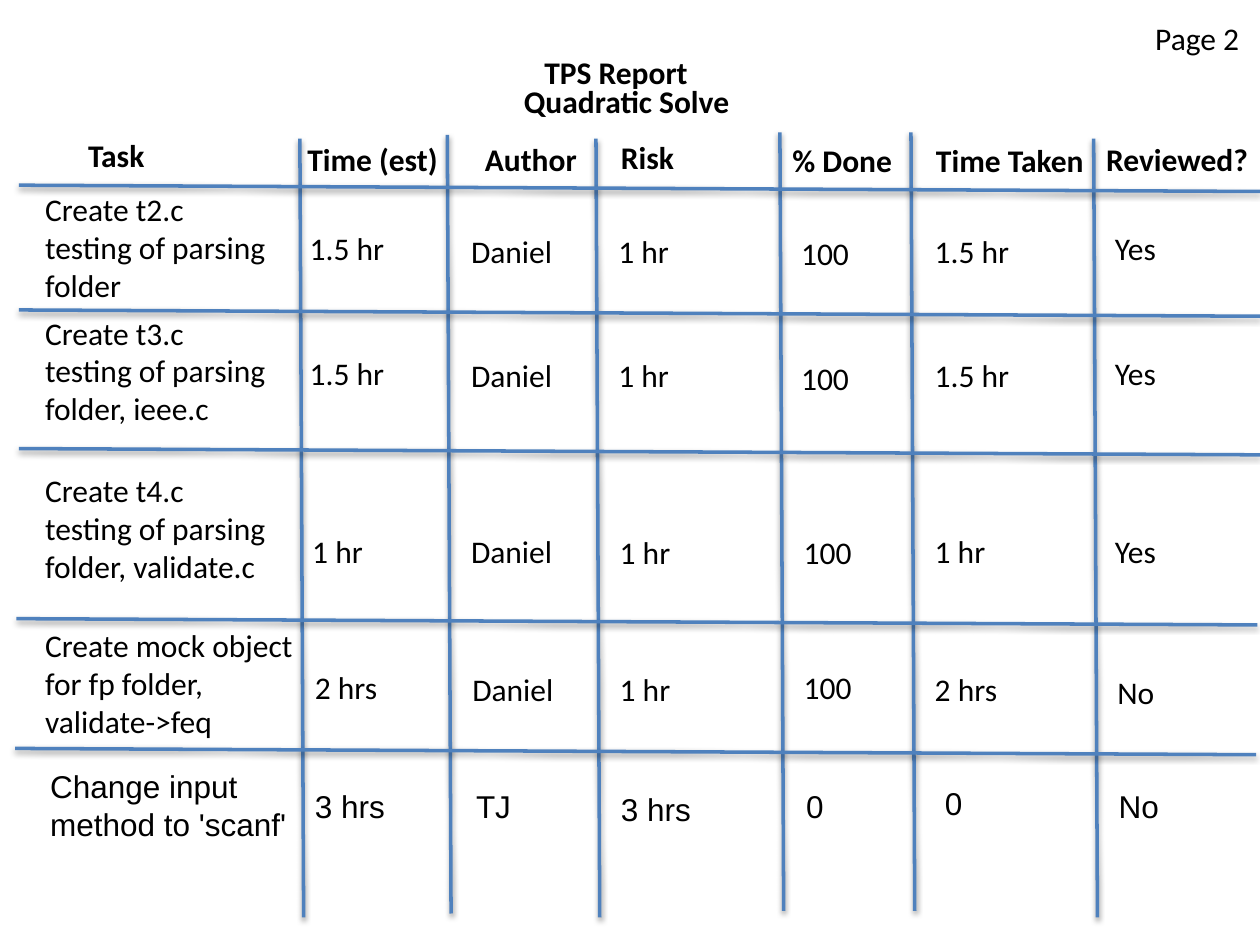
from pptx import Presentation
from pptx.dml.color import RGBColor
from pptx.enum.shapes import MSO_CONNECTOR
from pptx.enum.text import MSO_ANCHOR, MSO_AUTO_SIZE, PP_ALIGN
from pptx.util import Inches, Pt

STRAIGHT = MSO_CONNECTOR.STRAIGHT
TOP = MSO_ANCHOR.TOP
LEFT = PP_ALIGN.LEFT
NO_FIT = MSO_AUTO_SIZE.NONE
TITLE_ONLY = 5

COLORS = {"text": "000000", "rule": "4F81BD"}
PLAIN = {"name": "Calibri", "size": Pt(18), "bold": False}
BOLD = {**PLAIN, "bold": True}
ARIAL = {**PLAIN, "name": "Arial"}
LAYOUT = {"word_wrap": True, "auto_size": NO_FIT, "vertical_anchor": TOP}

HEADERS = [
    ("Task", 0.6, 1.03), ("Time (est)", 2.34, 1.06), ("Author", 3.75, 1.06),
    ("Risk", 4.83, 1.05), ("% Done", 6.19, 1.07), ("Time Taken", 7.33, 1.07),
    ("Reviewed?", 8.68, 1.06),
]
COLUMN_RULES = [(2.38, 1.1), (3.55, 1.07), (4.73, 1.1), (6.19, 1.05), (7.23, 1.05), (8.68, 1.1)]
ROW_RULES = [(0.15, 1.47), (0.15, 2.46), (0.15, 3.56), (0.13, 4.91), (0.12, 5.94)]

TASKS = [
    (["Create t2.c", "testing of parsing", "folder"], 1.46),
    (["Create t3.c", "testing of parsing", "folder, ieee.c"], 2.44),
    (["Create t4.c", "testing of parsing", "folder, validate.c"], 3.69),
    (["Create mock object", "for fp folder,", "validate->feq"], 4.92),
]
VALUE_WIDTHS = {"1.5 hr": 0.82, "1 hr": 0.63, "2 hrs": 0.75, "Daniel": 0.9,
                "100": 0.6, "Yes": 0.58, "No": 0.55}
FIRST_LEFTS = [2.36, 3.64, 4.81, 6.26, 7.32, 8.75]
FIRST_DROPS = [0, 0.02, 0.02, 0.04, 0.02, 0]
FIRST_VALUES = ["1.5 hr", "Daniel", "1 hr", "100", "1.5 hr", "Yes"]
VALUE_ROWS = [
    (1.77, FIRST_VALUES, FIRST_LEFTS, FIRST_DROPS),
    (2.76, FIRST_VALUES, FIRST_LEFTS, FIRST_DROPS),
    (4.17, ["1 hr", "Daniel", "1 hr", "100", "1 hr", "Yes"],
     [2.38, 3.64, 4.82, 6.28, 7.32, 8.75], [0, 0, 0.01, 0.01, 0, 0]),
    (5.25, ["2 hrs", "Daniel", "1 hr", "100", "2 hrs", "No"],
     [2.4, 3.65, 4.82, 6.28, 7.32, 8.77], [0, 0.02, 0.02, 0, 0.02, 0.04]),
]
LAST_ROW = [
    ("3 hrs", 2.4, 6.2, 1.05), ("TJ", 3.68, 6.2, 0.96), ("3 hrs", 4.83, 6.22, 1),
    ("0", 6.3, 6.2, 1.1), ("0", 7.4, 6.17, 1.1), ("No", 8.78, 6.2, 0.9),
]


def write_lines(frame, lines, style):
    """Write each line as a paragraph in the given font style."""
    for key, value in LAYOUT.items():
        setattr(frame, key, value)
    for index, line in enumerate(lines):
        para = frame.add_paragraph() if index else frame.paragraphs[0]
        para.alignment = LEFT
        span = para.add_run()
        span.text = line
        for key, value in style.items():
            setattr(span.font, key, value)
        span.font.color.rgb = RGBColor.from_string(COLORS["text"])


def add_text(page, lines, left, top, width, height=0.4, style=PLAIN):
    """Add a text box holding the given lines."""
    box = page.shapes.add_textbox(Inches(left), Inches(top), Inches(width), Inches(height))
    write_lines(box.text_frame, lines, style)


def add_title(page, text, left, top, width, height):
    """Move the title placeholder into place and fill it."""
    box = page.shapes.title
    place = {"left": left, "top": top, "width": width, "height": height}
    for key, value in place.items():
        setattr(box, key, Inches(value))
    write_lines(box.text_frame, [text], BOLD)


def add_rule(page, left, top, across, down):
    """Add a table rule that keeps the soft shadow of the theme."""
    rule = page.shapes.add_connector(
        STRAIGHT, Inches(left), Inches(top), Inches(left + across), Inches(top + down))
    rule.line.color.rgb = RGBColor.from_string(COLORS["rule"])
    rule.line.width = Pt(2)


def add_values(page):
    """Add the value cells of every row."""
    for top, values, lefts, drops in VALUE_ROWS:
        for value, left, drop in zip(values, lefts, drops):
            add_text(page, [value], left, top + drop, VALUE_WIDTHS[value])
    for value, left, top, width in LAST_ROW:
        add_text(page, [value], left, top, width, 0.38, ARIAL)


def main():
    """Build the report page and save it."""
    deck = Presentation()
    deck.slide_width, deck.slide_height = Inches(10), Inches(7.5)
    page = deck.slides.add_slide(deck.slide_layouts[TITLE_ONLY])

    add_title(page, "TPS Report", 4.22, 0.37, 1.37, 0.4)
    for left, top in COLUMN_RULES:
        add_rule(page, left, top, 0.03, 6.18)
    for text, left, top in HEADERS:
        add_text(page, [text], left, top, 1.52, style=BOLD)
    for left, top in ROW_RULES:
        add_rule(page, left, top, 9.85, 0.05)

    add_text(page, ["Page 2"], 9.07, 0.1, 0.92)
    add_text(page, ["Quadratic Solve"], 4.06, 0.6, 1.9, style=BOLD)
    for lines, top in TASKS:
        add_text(page, lines, 0.26, top, 2.25, 1)
    add_text(page, ["Change input method to 'scanf'"], 0.3, 6.04, 2.2, 0.66, ARIAL)
    add_values(page)
    deck.save("out.pptx")


if __name__ == "__main__":
    main()
